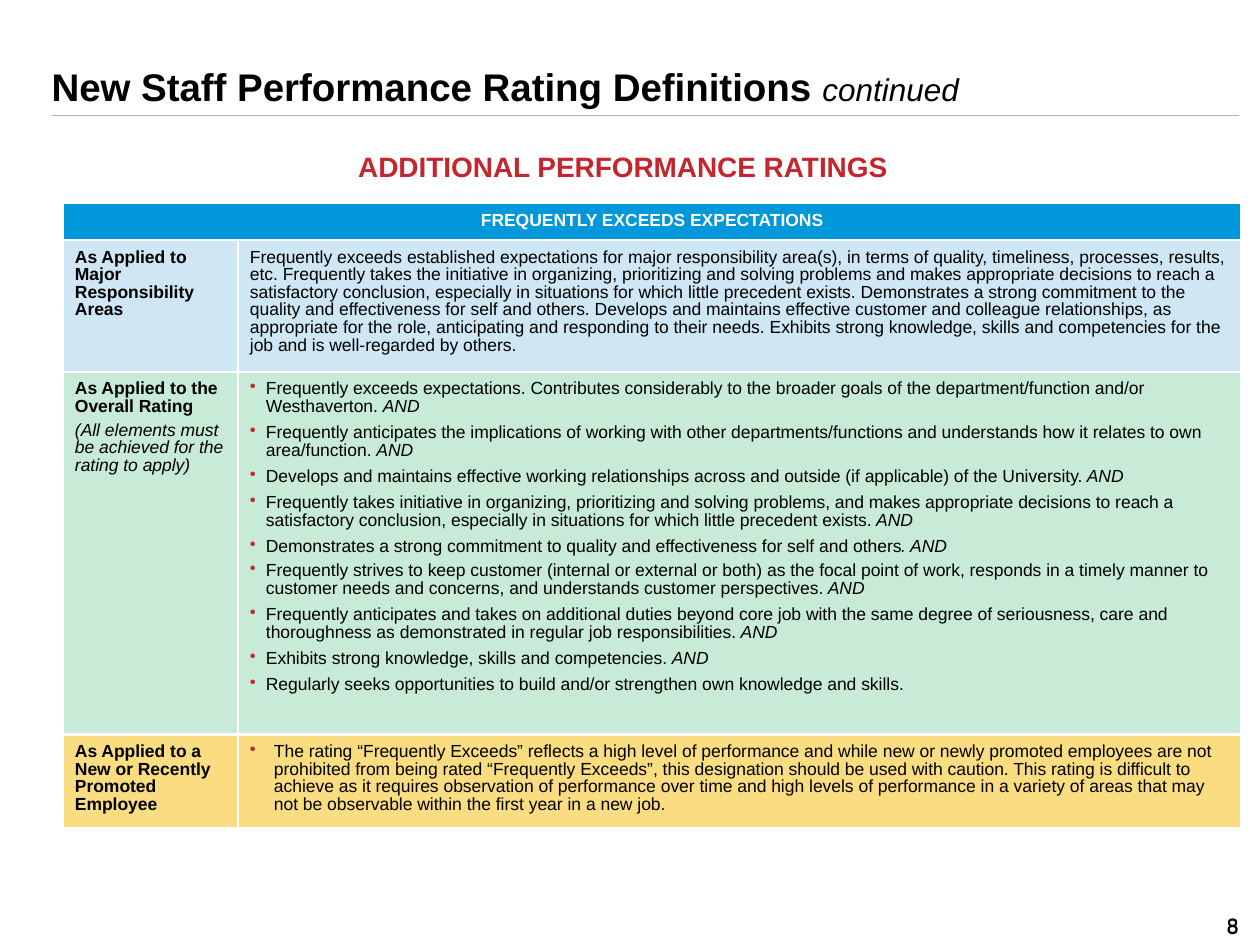
from lxml import etree
from pptx import Presentation
from pptx.dml.color import RGBColor
from pptx.enum.shapes import MSO_CONNECTOR
from pptx.enum.text import MSO_ANCHOR, PP_ALIGN
from pptx.oxml import parse_xml
from pptx.oxml.ns import nsdecls, qn
from pptx.util import Emu, Pt

BLACK = RGBColor(0x00, 0x00, 0x00)
WHITE = RGBColor(0xFF, 0xFF, 0xFF)
GREY = RGBColor(0xB2, 0xB4, 0xB3)
RED = RGBColor(0xC4, 0x26, 0x2E)
BLUE = RGBColor(0x00, 0x98, 0xDB)
PALE_BLUE = RGBColor(0xA0, 0xCF, 0xEB)
GREEN = RGBColor(0x91, 0xD8, 0xAE)
YELLOW = RGBColor(0xFA, 0xDD, 0x80)

LEFT, CENTER, RIGHT = PP_ALIGN.LEFT, PP_ALIGN.CENTER, PP_ALIGN.RIGHT
TOP, MIDDLE, BOTTOM = MSO_ANCHOR.TOP, MSO_ANCHOR.MIDDLE, MSO_ANCHOR.BOTTOM
PX = 914400 / 126
WIDE, TIGHT = 5, 3.5  # points before a paragraph


def px(*lengths):
    return [Emu(round(length * PX)) for length in lengths]


def add_paragraph(frame, spans, size=10, color=BLACK, align=LEFT, before=0, indent=0):
    """Fill the empty first paragraph or add one; an indent gives a red bullet."""
    first = frame.paragraphs[0]
    para = frame.add_paragraph() if first.runs else first
    para.alignment, para.line_spacing, para.space_before = align, 0.9, Pt(before)
    for text, style in spans:
        span = para.add_run()
        span.text = text
        span.font.color.rgb = color
        values = {"name": "Arial", "size": Pt(size), "bold": False, "italic": False}
        for name, value in (values | style).items():
            setattr(span.font, name, value)
    if indent:
        hang = px(indent)[0]
        properties = para._p.get_or_add_pPr()
        properties.set("marL", str(hang))
        properties.set("indent", str(-hang))
        properties.append(parse_xml(
            f'<a:buClr {nsdecls("a")}><a:srgbClr val="{RED}"/></a:buClr>'))
        properties.append(parse_xml(f'<a:buChar {nsdecls("a")} char="•"/>'))


PLAIN, BOLD, ITALIC = {}, {"bold": True}, {"italic": True}

deck = Presentation()
deck.slide_width, deck.slide_height = px(1260, 945)
page = deck.slides.add_slide(deck.slide_layouts[5])

# Title and rule
title = page.shapes.title
title.left, title.top, title.width, title.height = px(39, 11, 1197, 105)
title.text_frame.vertical_anchor = BOTTOM
add_paragraph(title.text_frame, [
    ("New Staff Performance Rating Definitions ", {"bold": True, "size": Pt(22)}),
    ("continued", {"italic": True, "size": Pt(18)})])

rule = page.shapes.add_connector(MSO_CONNECTOR.STRAIGHT, *px(52, 115, 1239, 115))
rule.line.color.rgb = GREY
rule.line.width = Pt(0.25)
etree.SubElement(rule._element.spPr, qn("a:effectLst"))

# Heading and page numbers
for area, text, anchor, wrap, style, look in [
    ((344, 147, 558, 43), "ADDITIONAL PERFORMANCE RATINGS", TOP, False, BOLD,
     {"size": 16, "color": RED, "align": CENTER}),
    ((989, 902, 262, 42), "8", BOTTOM, True, PLAIN, {"size": 12, "align": RIGHT}),
    ((989, 903, 262, 42), "8", BOTTOM, True, PLAIN, {"size": 12, "align": RIGHT}),
]:
    box = page.shapes.add_textbox(*px(*area))
    box.text_frame.word_wrap = wrap
    box.text_frame.vertical_anchor = anchor
    add_paragraph(box.text_frame, [(text, style)], **look)

# Ratings table
responsibility = (
    "Frequently exceeds established expectations for major responsibility area(s), in terms of "
    "quality, timeliness, processes, results, etc. Frequently takes the initiative in organizing, "
    "prioritizing and solving problems and makes appropriate decisions to reach a satisfactory "
    "conclusion, especially in situations for which little precedent exists. Demonstrates a strong "
    "commitment to the quality and effectiveness for self and others. Develops and maintains "
    "effective customer and colleague relationships, as appropriate for the role, anticipating and "
    "responding to their needs. Exhibits strong knowledge, skills and competencies for the job and "
    "is well-regarded by others.")
elements = [
    ("Frequently exceeds expectations. Contributes considerably to the broader goals of the "
     "department/function and/or Westhaverton. ", "AND", WIDE),
    ("Frequently anticipates the implications of working with other departments/functions and "
     "understands how it relates to own area/function. ", "AND", WIDE),
    ("Develops and maintains effective working relationships across and outside (if applicable) "
     "of the University. ", "AND", WIDE),
    ("Frequently takes initiative in organizing, prioritizing and solving problems, and makes "
     "appropriate decisions to reach a satisfactory conclusion, especially in situations for "
     "which little precedent exists. ", "AND", WIDE),
    ("Demonstrates a strong commitment to quality and effectiveness for self and others",
     ". AND", WIDE),
    ("Frequently strives to keep customer (internal or external or both) as the focal point of "
     "work, responds in a timely manner to customer needs and concerns, and understands customer "
     "perspectives. ", "AND", TIGHT),
    ("Frequently anticipates and takes on additional duties beyond core job with the same degree "
     "of seriousness, care and thoroughness as demonstrated in regular job responsibilities. ",
     "AND", WIDE),
    ("Exhibits strong knowledge, skills and competencies. ", "AND", WIDE),
    ("Regularly seeks opportunities to build and/or strengthen own knowledge and skills.",
     "", WIDE),
]
new_employee = (
    "The rating “Frequently Exceeds” reflects a high level of performance and while new or newly "
    "promoted employees are not prohibited from being rated “Frequently Exceeds”, this designation "
    "should be used with caution. This rating is difficult to achieve as it requires observation of "
    "performance over time and high levels of performance in a variety of areas that may not be "
    "observable within the first year in a new job.")

row_heights = px(36, 131, 363, 93)
column_widths = px(175, 1003)
table = page.shapes.add_table(4, 2, *px(63, 203, 1178, 623)).table
for row, height in zip(table.rows, row_heights):
    row.height = height
for column, width in zip(table.columns, column_widths):
    column.width = width

row_fills = [(BLUE, 100), (PALE_BLUE, 50), (GREEN, 50), (YELLOW, 100)]
for row, (color, opacity) in zip(table.rows, row_fills):
    for cell in row.cells:
        cell.margin_left, cell.margin_right, cell.margin_top, cell.margin_bottom = px(12, 12, 9, 9)
        cell.fill.solid()
        cell.fill.fore_color.rgb = color
        properties = cell._tc.get_or_add_tcPr()
        if opacity < 100:
            tint = properties.find(".//" + qn("a:srgbClr"))
            etree.SubElement(tint, qn("a:alpha")).set("val", str(opacity * 1000))
        for position, side in enumerate(("lnL", "lnR", "lnT", "lnB")):
            properties.insert(position, parse_xml(
                f'<a:{side} {nsdecls("a")} w="{Pt(1.5)}"><a:solidFill>'
                f'<a:srgbClr val="{WHITE}"/></a:solidFill></a:{side}>'))

header = table.cell(0, 0)
header.merge(table.cell(0, 1))
header.vertical_anchor = MIDDLE
add_paragraph(header.text_frame, [("FREQUENTLY EXCEEDS EXPECTATIONS", BOLD)],
              color=WHITE, align=CENTER)

for number, label in enumerate(("As Applied to Major Responsibility Areas",
                                "As Applied to the Overall Rating",
                                "As Applied to a New or Recently Promoted Employee"), start=1):
    add_paragraph(table.cell(number, 0).text_frame, [(label, BOLD)])
add_paragraph(table.cell(2, 0).text_frame,
              [("(All elements must be achieved for the rating to apply)", ITALIC)], before=TIGHT)

add_paragraph(table.cell(1, 1).text_frame, [(responsibility, PLAIN)])
for index, (text, ending, gap) in enumerate(elements):
    spans = [(text, PLAIN)] + ([(ending, ITALIC)] if ending else [])
    add_paragraph(table.cell(2, 1).text_frame, spans, before=gap if index else 0, indent=16)
add_paragraph(table.cell(3, 1).text_frame, [(new_employee, PLAIN)], indent=24)

deck.save("out.pptx")
